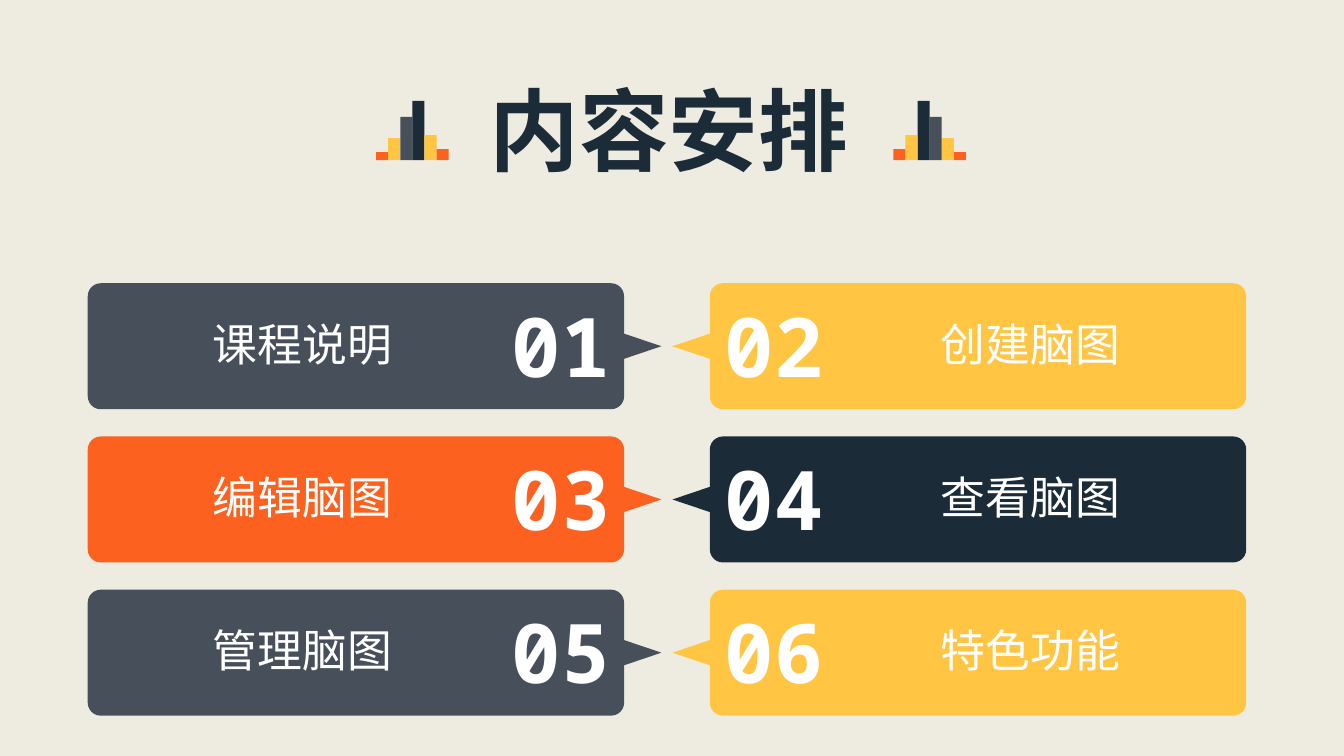
from pptx import Presentation
from pptx.dml.color import RGBColor as RGB
from pptx.enum.lang import MSO_LANGUAGE_ID as Lang
from pptx.enum.shapes import MSO_SHAPE as Shape
from pptx.enum.text import MSO_AUTO_SIZE as Fit, PP_ALIGN as Align
from pptx.util import Inches, Pt

COLORS = {"paper": "EEECE1", "navy": "1C2B38", "slate": "464F5A",
          "gold": "FFC543", "orange": "FC611F", "white": "FFFFFF"}
BODY, HAN, MONO = "Calibri", "Noto Sans CJK SC", "Noto Sans Mono"


class Deck:
    def __init__(self):
        self.prs = Presentation()
        self.prs.slide_width = Inches(13.33)
        self.prs.slide_height = Inches(7.5)
        self.slide = self.prs.slides.add_slide(self.prs.slide_layouts[6])
        fill = self.slide.background.fill
        fill.solid()
        fill.fore_color.rgb = RGB.from_string(COLORS["paper"])

    def block(self, kind, box, color, turn=0):
        shape = self.slide.shapes.add_shape(kind, *map(Inches, box))
        shape.shadow.inherit = False
        shape.fill.solid()
        shape.fill.fore_color.rgb = RGB.from_string(COLORS[color])
        shape.line.fill.background()
        shape.rotation = turn
        return shape

    def text(self, words, box, size, face, color="white", bold=False, wrap=True):
        frame = self.slide.shapes.add_textbox(*map(Inches, box)).text_frame
        frame.word_wrap = wrap
        frame.auto_size = Fit.SHAPE_TO_FIT_TEXT
        para = frame.paragraphs[0]
        para.text = words
        para.alignment = Align.CENTER
        font = para.font
        font.name, font.size, font.bold = face, Pt(size), bold
        font.color.rgb = RGB.from_string(COLORS[color])
        font.language_id = Lang.SIMPLIFIED_CHINESE

    def card(self, left, top, color, right):
        body = self.block(Shape.ROUNDED_RECTANGLE, (left, top, 5.32, 1.25), color)
        body.adjustments[0] = 0.103
        tip = 6.73 if right else 6.25
        self.block(Shape.ISOSCELES_TRIANGLE, (tip, top + 0.44, 0.25, 0.37),
                   color, 270 if right else 90)


def main():
    deck = Deck()

    # Title
    deck.text("内容安排", (4.53, 0.69, 4.21, 1.18), 64, BODY, "navy", True)

    # Mirrored bars on both sides of the title
    bars = [(0.08, "orange"), (0.22, "gold"), (0.43, "slate"),
            (0.59, "navy"), (0.25, "gold"), (0.11, "orange")]
    for i, (high, color) in enumerate(bars):
        for left in (3.73 + 0.12 * i, 9.46 - 0.12 * i):
            deck.block(Shape.RECTANGLE, (left, 1.59 - high, 0.12, high), color)

    # Numbered cards, two to a row
    topics = [("课程说明", "slate", BODY), ("创建脑图", "gold", HAN),
              ("编辑脑图", "orange", HAN), ("查看脑图", "navy", BODY),
              ("管理脑图", "slate", HAN), ("特色功能", "gold", BODY)]
    for i, (topic, color, face) in enumerate(topics):
        row, right = divmod(i, 2)
        top = 2.81 + 1.52 * row
        deck.card(7.04 if right else 0.87, top, color, right)
        deck.text(f"{i + 1:02}", (7.05 if right else 4.95, top + 0.07,
                                  1.26 if right else 1.23, 1.09),
                  58.7, MONO, bold=True)
        deck.text(topic, (9.22 if right else 2, top + 0.28, 2, 0.64),
                  32, face, wrap=False)

    deck.prs.save("out.pptx")


if __name__ == "__main__":
    main()
